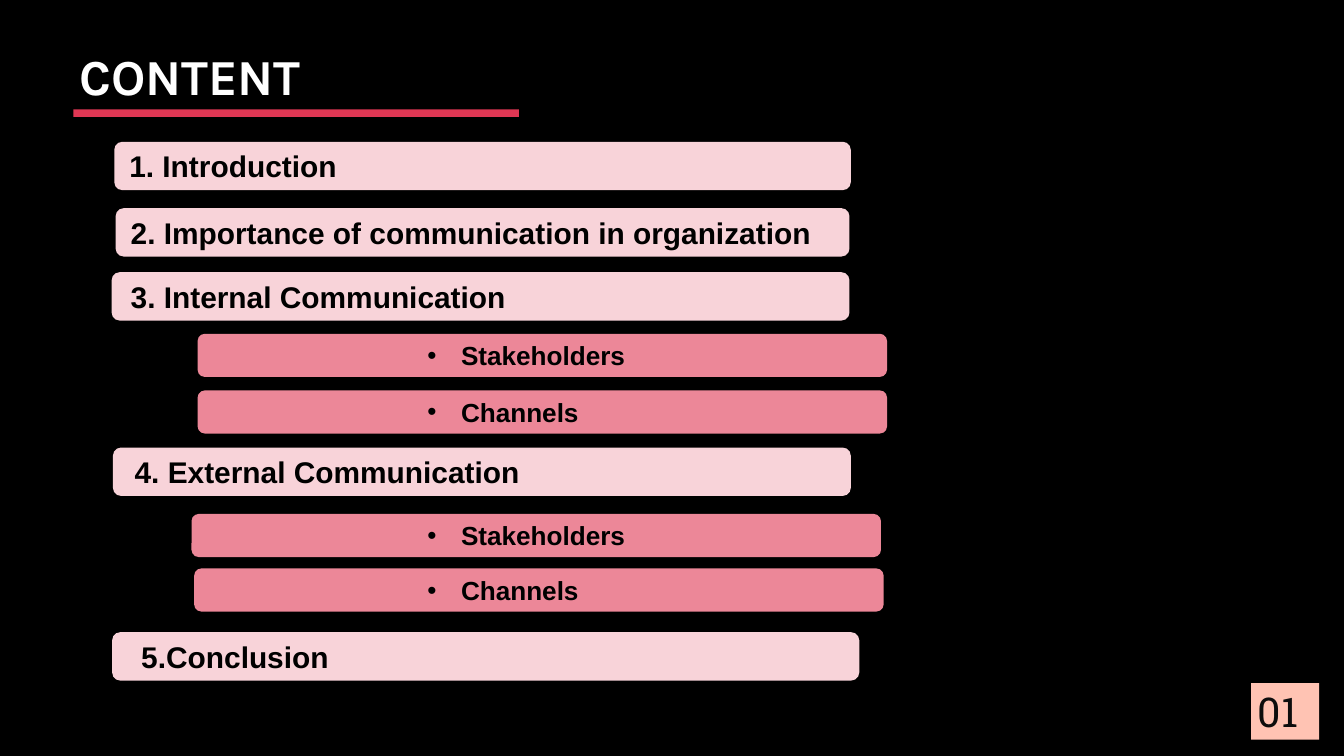
"""Build the contents slide: numbered section bars with bulleted topic bars."""
import pptx
import pptx.dml.color
import pptx.enum.shapes
import pptx.enum.text
import pptx.oxml
import pptx.oxml.ns
import pptx.util

Cm = pptx.util.Cm
SHAPES = pptx.enum.shapes.MSO_SHAPE
ANCHOR = pptx.enum.text.MSO_ANCHOR

# (text, bar left, bar top, bar width, text left)
SECTIONS = [
    ("1. Introduction", 4.32, 5.36, 27.84, 4.8),
    ("2. Importance of communication in organization", 4.37, 7.87, 27.74, 4.85),
    ("3. Internal Communication", 4.22, 10.29, 27.89, 4.85),
    ("4. External Communication", 4.27, 16.92, 27.89, 5.0),
    ("5.Conclusion", 4.24, 23.9, 28.24, 5.25),
]
TOPICS = [
    ("Stakeholders", 7.47, 12.62, 26.06, 16.08),
    ("Channels", 7.47, 14.76, 26.06, 16.08),
    ("Stakeholders", 7.24, 19.43, 26.06, 16.08),
    ("Channels", 7.34, 21.49, 26.06, 16.08),
]
SECTION_STYLE = {"height": 1.83, "fill": "F8D3D9", "size": 32, "bullet": False}
TOPIC_STYLE = {"height": 1.63, "fill": "EC8798", "size": 28, "bullet": True}


def rgb(value):
    """Turn a hex string into a colour."""
    return pptx.dml.color.RGBColor.from_string(value)


def add_block(slide, kind, left, top, width, height, fill):
    """Add a plain filled shape without line or shadow."""
    block = slide.shapes.add_shape(kind, Cm(left), Cm(top), Cm(width), Cm(height))
    block.shadow.inherit = False
    block.fill.solid()
    block.fill.fore_color.rgb = rgb(fill)
    block.line.fill.background()
    return block


def add_bullet(paragraph):
    """Give a paragraph a round bullet with a hanging indent."""
    properties = paragraph._p.get_or_add_pPr()
    properties.set("marL", str(Cm(1.27)))
    properties.set("indent", str(-Cm(1.27)))
    for tag, attribute, value in (("a:buFont", "typeface", "Arial"), ("a:buChar", "char", "•")):
        element = pptx.oxml.parse_xml(f'<{tag} {pptx.oxml.ns.nsdecls("a")} {attribute}="{value}"/>')
        properties.append(element)


def write(shape, text, font, size, color, bold, inset=0.25, bullet=False):
    """Write one left-aligned, vertically centred line into a shape."""
    frame = shape.text_frame
    frame.text = text
    frame.word_wrap = True
    frame.vertical_anchor = ANCHOR.MIDDLE
    frame.margin_left = Cm(inset)
    frame.margin_top = frame.margin_bottom = 0
    paragraph = frame.paragraphs[0]
    paragraph.alignment = pptx.enum.text.PP_ALIGN.LEFT
    if bullet:
        add_bullet(paragraph)
    run = paragraph.runs[0]
    run.font.name = font
    run.font.size = pptx.util.Pt(size)
    run.font.bold = bold
    run.font.color.rgb = rgb(color)


def add_bars(slide, entries, height, fill, size, bullet):
    """Add one rounded bar for each entry."""
    for text, left, top, width, text_left in entries:
        bar = add_block(slide, SHAPES.ROUNDED_RECTANGLE, left, top, width, height, fill)
        write(bar, text, "Arial", size, "000000", True, text_left - left, bullet)


def main():
    """Build and save the slide."""
    deck = pptx.Presentation()
    deck.slide_width, deck.slide_height = Cm(50.8), Cm(28.58)
    slide = deck.slides.add_slide(deck.slide_layouts[5])
    slide.background.fill.solid()
    slide.background.fill.fore_color.rgb = rgb("000000")

    heading = slide.shapes.title
    heading.left, heading.top, heading.width, heading.height = Cm(2.74), Cm(1.57), Cm(25.4), Cm(2.57)
    write(heading, "CONTENT", "Karla", 54, "FFFFFF", True)
    add_block(slide, SHAPES.RECTANGLE, 2.77, 4.14, 16.84, 0.28, "E03754")

    add_bars(slide, SECTIONS, **SECTION_STYLE)
    add_bars(slide, TOPICS, **TOPIC_STYLE)

    page_number = add_block(slide, SHAPES.RECTANGLE, 47.29, 25.83, 2.57, 2.13, "FFC3B3")
    write(page_number, "01", "Roboto Slab", 44, "0D0D0D", False)
    deck.save("out.pptx")


if __name__ == "__main__":
    main()
